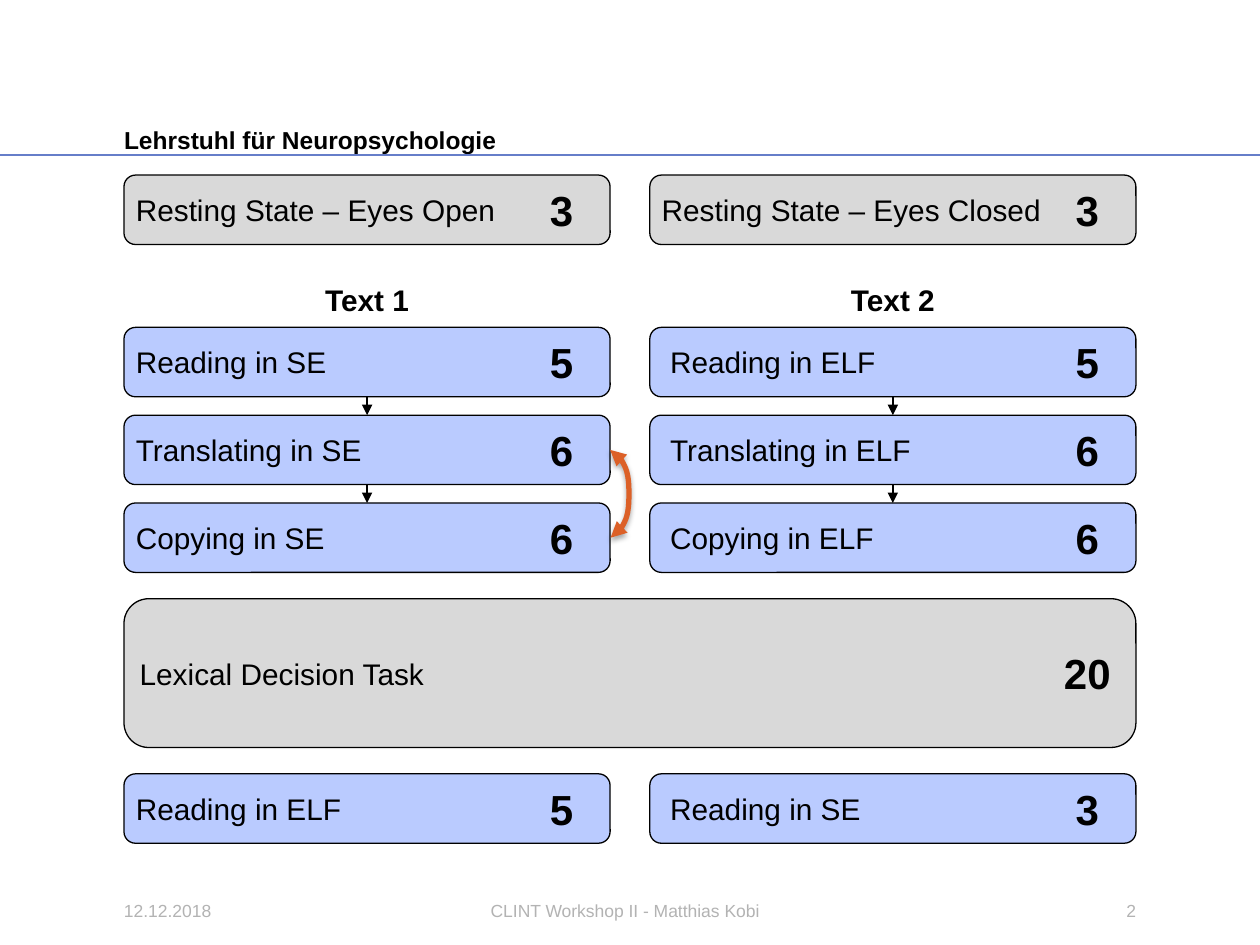
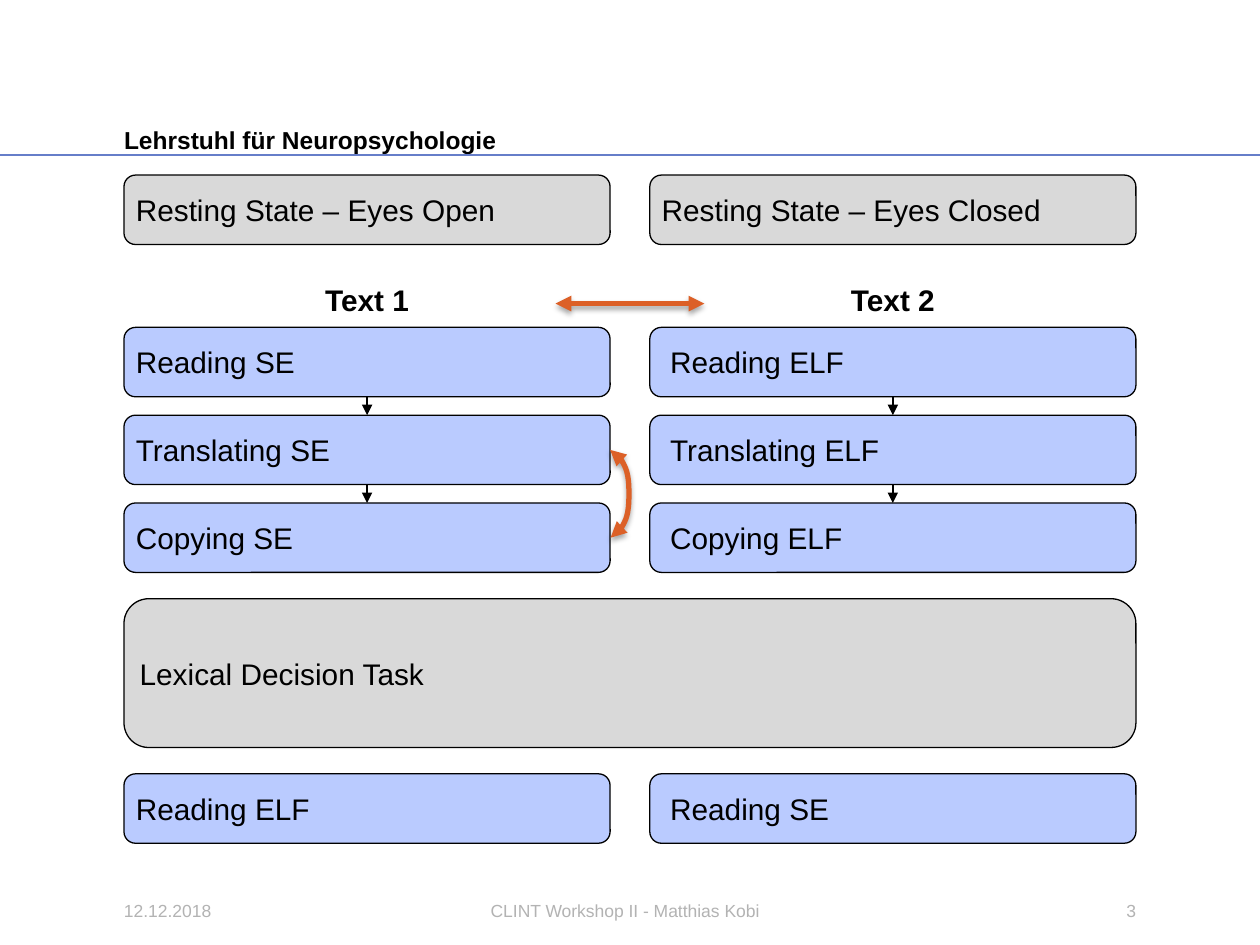
from dataclasses import dataclass

from lxml import etree
from pptx import Presentation
from pptx.dml.color import RGBColor
from pptx.enum.shapes import MSO_CONNECTOR, MSO_SHAPE
from pptx.enum.text import MSO_ANCHOR, MSO_AUTO_SIZE, PP_ALIGN
from pptx.oxml.ns import qn
from pptx.util import Cm, Pt

STRAIGHT, CURVED = MSO_CONNECTOR.STRAIGHT, MSO_CONNECTOR.CURVE
ROUNDED = MSO_SHAPE.ROUNDED_RECTANGLE
TOP, MIDDLE = MSO_ANCHOR.TOP, MSO_ANCHOR.MIDDLE
LEFT, CENTER, RIGHT = PP_ALIGN.LEFT, PP_ALIGN.CENTER, PP_ALIGN.RIGHT
NO_AUTOFIT = MSO_AUTO_SIZE.NONE
TITLE_ONLY = 5
SITE_TOP, SITE_BOTTOM, SITE_RIGHT = 0, 2, 3


@dataclass(frozen=True)
class Theme:
    font: str = "Arial"
    ink: str = "000000"
    muted: str = "B3B3B3"
    rule: str = "667EC9"
    baseline_task: str = "D9D9D9"
    language_task: str = "BACBFF"
    contrast: str = "DC6027"
    title_size: float = 14
    label_size: float = 17
    minutes_size: float = 24
    footer_size: float = 10
    thin: float = 0.75
    rule_width: float = 1.25
    thick: float = 3


MARGIN, CONTENT_WIDTH = 2.5, 20.4
TASK_WIDTH, TASK_HEIGHT = 9.8, 1.4
COLUMNS = (MARGIN, MARGIN + CONTENT_WIDTH - TASK_WIDTH)
RESTING_TOP, HEADING_TOP, LEXICAL_TOP, FINAL_TOP = 3.53, 5.54, 12.07, 15.6
LEXICAL_HEIGHT = 3
STEPS_TOP, STEP_PITCH = 6.6, 1.77
SPACE = 0.17
MINUTES_FROM_RIGHT = 0.98
FOOTER_TOP, FOOTER_HEIGHT = 18.14, 0.6

RESTING = ("Resting State – Eyes Open", "Resting State – Eyes Closed")
ACTIVITIES = ("Reading", "Translating", "Copying")
LANGUAGES = ("SE", "ELF")
RESTING_MINUTES = (3, 3)
STEP_MINUTES = (5, 6, 6)
LEXICAL_MINUTES = 20
FINAL_MINUTES = (5, 3)


class Deck:
    """Holds the style and the current slide and draws each kind of element."""

    def __init__(self, theme):
        self.theme = theme
        self.presentation = Presentation()
        self.presentation.slide_width = Cm(25.4)
        self.presentation.slide_height = Cm(19.05)
        self.slide = None

    def new_slide(self, title, number):
        layout = self.presentation.slide_layouts[TITLE_ONLY]
        self.slide = self.presentation.slides.add_slide(layout)
        heading = self.slide.shapes.title
        heading.left, heading.top = Cm(MARGIN), Cm(2.36)
        heading.width, heading.height = Cm(CONTENT_WIDTH), Cm(0.64)
        self.set_text(heading, title, self.theme.title_size, bold=True,
                      anchor=TOP, insets=(0, 0.15, 0, 0))
        self.line((0, 3.12), (25.4, 3.12), self.theme.rule, self.theme.rule_width)
        footers = (("12.12.2018", MARGIN, 2.6, LEFT),
                   ("CLINT Workshop II - Matthias Kobi", 5.3, 14.6, CENTER),
                   (str(number), 20.7, 2.2, RIGHT))
        for text, left, width, align in footers:
            self.text(text, left, FOOTER_TOP, width, FOOTER_HEIGHT,
                      self.theme.footer_size, color=self.theme.muted,
                      align=align, anchor=TOP)

    def set_text(self, shape, text, size, color=None, bold=False, align=LEFT,
                 anchor=MIDDLE, insets=(0, 0, 0, 0)):
        frame = shape.text_frame
        frame.text = text
        frame.word_wrap = True
        frame.auto_size = NO_AUTOFIT
        frame.vertical_anchor = anchor
        (frame.margin_left, frame.margin_top,
         frame.margin_right, frame.margin_bottom) = map(Cm, insets)
        paragraph = frame.paragraphs[0]
        paragraph.alignment = align
        for run in paragraph.runs:
            run.font.name = self.theme.font
            run.font.size = Pt(size)
            run.font.bold = bold
            run.font.color.rgb = RGBColor.from_string(color or self.theme.ink)

    def text(self, text, left, top, width, height, size, **style):
        box = self.slide.shapes.add_textbox(Cm(left), Cm(top), Cm(width), Cm(height))
        self.set_text(box, text, size, **style)

    def task(self, label, left, top, fill, minutes=None, width=TASK_WIDTH,
             height=TASK_HEIGHT, indent=SPACE):
        box = self.slide.shapes.add_shape(
            ROUNDED, Cm(left), Cm(top), Cm(width), Cm(height))
        box.shadow.inherit = False
        box.fill.solid()
        box.fill.fore_color.rgb = RGBColor.from_string(fill)
        box.line.color.rgb = RGBColor.from_string(self.theme.ink)
        box.line.width = Pt(self.theme.thin)
        self.set_text(box, label, self.theme.label_size, insets=(indent, 0, 0, 0))
        if minutes is not None:
            center = left + width - MINUTES_FROM_RIGHT
            self.text(str(minutes), center - 0.75, top, 1.5, height,
                      self.theme.minutes_size, bold=True, align=CENTER)
        return box

    def line(self, start, end, color, width, kind=STRAIGHT, heads=(),
             shadow=False):
        connector = self.slide.shapes.add_connector(
            kind, *map(Cm, start), *map(Cm, end))
        connector.line.color.rgb = RGBColor.from_string(color)
        connector.line.width = Pt(width)
        properties = connector._element.spPr
        outline = properties.find(qn("a:ln"))
        for head in heads:
            etree.SubElement(outline, qn(f"a:{head}"), type="triangle")
        effects = etree.SubElement(properties, qn("a:effectLst"))
        if shadow:
            outer = etree.SubElement(effects, qn("a:outerShdw"), blurRad="39400",
                                     dist="22900", dir="5400000", rotWithShape="0")
            black = etree.SubElement(outer, qn("a:srgbClr"), val=self.theme.ink)
            etree.SubElement(black, qn("a:alpha"), val="35000")
        return connector

    def next_step(self, upper, lower):
        arrow = self.line((0, 0), (0, 0), self.theme.ink, self.theme.thin,
                          heads=("tailEnd",))
        arrow.begin_connect(upper, SITE_BOTTOM)
        arrow.end_connect(lower, SITE_TOP)

    def contrast(self, start, end, kind=STRAIGHT):
        return self.line(start, end, self.theme.contrast, self.theme.thick, kind,
                         heads=("headEnd", "tailEnd"), shadow=True)

    def contrast_steps(self, upper, lower, bulge=0.38, span=0.01):
        bow = self.contrast((0, 0), (0, 0), CURVED)
        bow.begin_connect(upper, SITE_RIGHT)
        bow.end_connect(lower, SITE_RIGHT)
        bow.end_x = bow.begin_x + Cm(span)
        geometry = bow._element.spPr.find(qn("a:prstGeom"))
        guides = geometry.find(qn("a:avLst"))
        if guides is None:
            guides = etree.SubElement(geometry, qn("a:avLst"))
        etree.SubElement(guides, qn("a:gd"), name="adj1",
                         fmla=f"val {round(bulge / span * 100000)}")

    def procedure(self, link, timed):
        theme = self.theme

        def shown(minutes):
            return minutes if timed else None

        for column, left in enumerate(COLUMNS):
            language, other = LANGUAGES[column], LANGUAGES[1 - column]
            indent = SPACE * (column + 1)
            self.task(RESTING[column], left, RESTING_TOP, theme.baseline_task,
                      shown(RESTING_MINUTES[column]))
            self.text(f"Text {column + 1}", left, HEADING_TOP, TASK_WIDTH, 1,
                      theme.label_size, bold=True, align=CENTER)
            steps = [
                self.task(activity + link + language, left,
                          STEPS_TOP + row * STEP_PITCH, theme.language_task,
                          shown(STEP_MINUTES[row]), indent=indent)
                for row, activity in enumerate(ACTIVITIES)]
            for upper, lower in zip(steps, steps[1:]):
                self.next_step(upper, lower)
            if column == 0:
                self.contrast_steps(*steps[1:])
            self.task(ACTIVITIES[0] + link + other, left, FINAL_TOP,
                      theme.language_task, shown(FINAL_MINUTES[column]),
                      indent=indent)
        self.task("Lexical Decision Task", MARGIN, LEXICAL_TOP, theme.baseline_task,
                  shown(LEXICAL_MINUTES), CONTENT_WIDTH, LEXICAL_HEIGHT)


deck = Deck(Theme())
deck.new_slide("Lehrstuhl für Neuropsychologie", 2)
deck.procedure(" in ", timed=True)
deck.new_slide("Lehrstuhl für Neuropsychologie", 3)
deck.procedure(" ", timed=False)
deck.contrast((11.2, 6.12), (14.2, 6.12))
deck.presentation.save("out.pptx")
